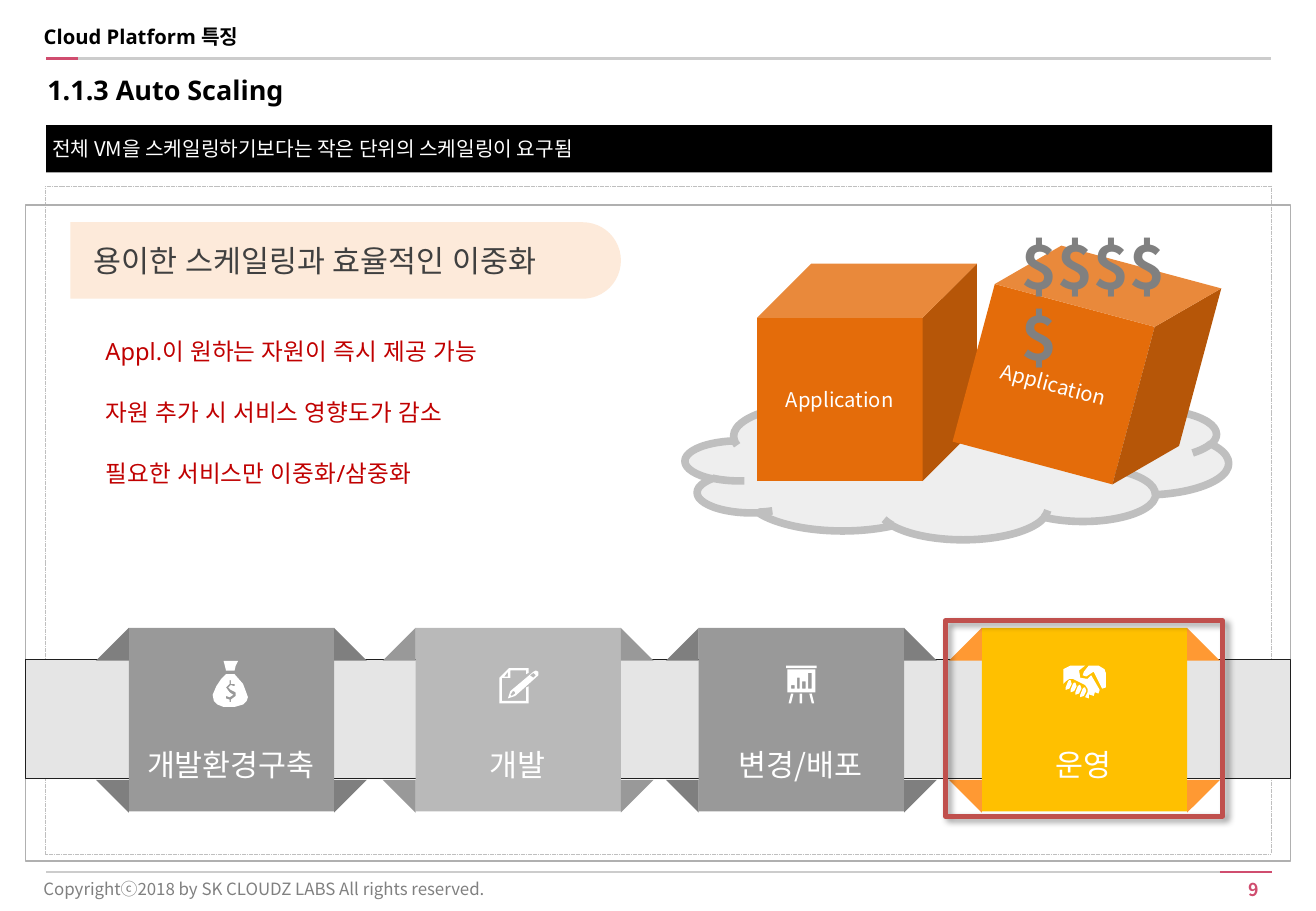
"""Build the Auto Scaling slide: four stage ribbons, key points and a cloud of cubes."""
from lxml.etree import SubElement as Sub
from pptx import Presentation
from pptx.dml.color import RGBColor as RGB
from pptx.enum.dml import MSO_LINE as Dash
from pptx.enum.shapes import MSO_CONNECTOR as Conn, MSO_SHAPE as Kind
from pptx.enum.text import MSO_ANCHOR as Anchor, PP_ALIGN as Align
from pptx.oxml.ns import qn
from pptx.util import Inches, Pt

WHITE, BLACK = RGB(255, 255, 255), RGB(0, 0, 0)
ROSE, RULE = RGB(0xD0, 0x4D, 0x6F), RGB(0xCC, 0xCC, 0xCC)
EDGE, FRAME, STRIP = RGB(0xBF, 0xBF, 0xBF), RGB(0xB0, 0xB0, 0xB0), RGB(0xE5, 0xE5, 0xE5)
INK, DARK, GRAY = RGB(0x1F, 0x1F, 0x1F), RGB(0x40, 0x40, 0x40), RGB(0x80, 0x80, 0x80)
STEEL, FOLD, SILVER = RGB(0x99, 0x99, 0x99), RGB(0x7F, 0x7F, 0x7F), RGB(0xB9, 0xB9, 0xB9)
GOLD, AMBER = RGB(0xFF, 0xC0, 0), RGB(0xFF, 0x99, 0x33)
PEACH, RED, BRICK = RGB(0xFD, 0xEA, 0xDA), RGB(0xC0, 0, 0), RGB(0xC0, 0x50, 0x4D)
CLOUD, ORANGE = RGB(0xEA, 0xEA, 0xEA), RGB(0xE4, 0x6C, 0x0A)
SANS, KOR, JAP = "Noto Sans", "Noto Sans CJK KR", "Noto Sans CJK JP"

deck = Presentation()
deck.slide_width, deck.slide_height = Inches(10.83), Inches(7.5)
shapes = deck.slides.add_slide(deck.slide_layouts[6]).shapes


def paint(shape, fill=None, line=None, width=1):
    shape.shadow.inherit = False
    if fill is None:
        shape.fill.background()
    else:
        shape.fill.solid()
        shape.fill.fore_color.rgb = fill
    if line is None:
        shape.line.fill.background()
    else:
        shape.line.color.rgb = line
        shape.line.width = Pt(width)
    return shape


def write(shape, text, size=12, color=BLACK, face=KOR, bold=False, align=Align.LEFT,
          anchor=Anchor.MIDDLE, pad=(0, 0, 0, 0), gap=0, space=None):
    frame = shape.text_frame
    frame.word_wrap, frame.vertical_anchor = True, anchor
    frame.margin_left, frame.margin_top, frame.margin_right, frame.margin_bottom = map(Inches, pad)
    for num, row in enumerate(text.split("\n")):
        para = frame.paragraphs[0] if num == 0 else frame.add_paragraph()
        para.alignment, para.line_spacing = align, space
        if num:
            para.space_before = Pt(gap)
        run = para.add_run()
        run.text = row
        font = run.font
        font.size, font.bold, font.name = Pt(size), bold, face
        font.color.rgb = color
        Sub(run._r.get_or_add_rPr(), qn("a:ea"), typeface=face)
    return frame


area = paint(shapes.add_shape(Kind.RECTANGLE, Inches(0.37), Inches(1.53), Inches(10.09), Inches(5.5)),
             line=EDGE, width=0.25)
area.line.dash_style = Dash.SQUARE_DOT

for left, right, y, color in [(0.38, 10.46, 0.48, RULE), (0.38, 0.64, 0.48, ROSE),
                              (0.38, 10.46, 7.18, RULE), (10.04, 10.47, 7.18, ROSE)]:
    rule = shapes.add_connector(Conn.STRAIGHT, Inches(left), Inches(y), Inches(right), Inches(y))
    rule.line.color.rgb, rule.line.width = color, Pt(1.5)
    Sub(rule._element.spPr, qn("a:effectLst"))

bar = paint(shapes.add_shape(Kind.RECTANGLE, Inches(0.38), Inches(1.03), Inches(10.09), Inches(0.39)), BLACK)
write(bar, "전체 VM을 스케일링하기보다는 작은 단위의 스케일링이 요구됨", color=WHITE, pad=(0.05, 0, 0, 0))

POINTS = "Appl.이 원하는 자원이 즉시 제공 가능\n자원 추가 시 서비스 영향도가 감소\n필요한 서비스만 이중화/삼중화"
notes = [
    ((9.79, 7.18, 0.57, 0.28), "9",
     dict(size=10.5, face=JAP, color=ROSE, bold=True, align=Align.RIGHT, pad=(0.1, 0.05, 0, 0.05))),
    ((0.27, 0.2, 5.97, 0.31), "Cloud Platform 특징",
     dict(face=SANS, bold=True, anchor=Anchor.TOP, pad=(0.09, 0, 0, 0))),
    ((0.26, 7.15, 5.7, 0.34), "Copyrightⓒ2018 by SK CLOUDZ LABS All rights reserved.",
     dict(size=10, face=JAP, color=GRAY, pad=(0.1, 0.05, 0.1, 0.05))),
    ((0.39, 0.52, 10.07, 0.43), "1.1.3 Auto Scaling",
     dict(size=16, face=SANS, bold=True, pad=(0, 0.05, 0, 0.05))),
    ((0.77, 2.72, 4.84, 1.45), POINTS,
     dict(size=14, face=SANS, color=RED, anchor=Anchor.TOP, pad=(0.1, 0.05, 0.1, 0.05), gap=19.5)),
]
for spot, text, style in notes:
    write(shapes.add_textbox(*map(Inches, spot)), text, **style)

paint(shapes.add_shape(Kind.RECTANGLE, Inches(0.21), Inches(1.69), Inches(10.41), Inches(5.4)), line=FRAME)
paint(shapes.add_shape(Kind.RECTANGLE, Inches(0.21), Inches(5.43), Inches(10.41), Inches(0.98)), STRIP, INK)

BAG = [
    [(9, 0), (10, 4), (11, 8), (18, 8), (19, 4), (21, 0)],
    [(11, 11), (7, 15), (3, 21), (0, 28), (1, 33), (4, 36), (9, 38), (18, 38), (25, 36),
     (28, 33), (29, 30), (28, 27), (25, 19), (18, 11)],
    [(14, 16), (15, 16), (15, 19), (18, 19), (18, 21), (15, 20), (13, 22), (15, 24), (19, 26),
     (19, 29), (15, 32), (15, 34), (14, 34), (14, 32), (11, 31), (11, 29), (14, 30), (17, 28),
     (14, 26), (11, 22), (14, 19)],
]
PEN = [
    [(8, 0), (0, 8), (0, 29), (24, 29), (24, 15), (22, 16), (22, 27), (2, 27), (2, 8), (9, 8),
     (9, 2), (22, 2), (22, 5), (24, 4), (24, 0)],
    [(30, 2), (28, 3), (9, 19), (7, 25), (13, 23), (32, 6), (32, 3)],
    [(7, 3), (7, 7), (4, 7)],
    [(28, 4), (30, 6), (28, 8), (25, 6)],
    [(12, 19), (13, 20), (13, 21), (10, 23), (9, 22), (11, 19)],
]
BOXES = [(0, 0, 25, 2), (1, 3, 24, 22), (18, 6, 21, 19), (9, 10, 11, 19),
         (13, 13, 16, 19), (4, 16, 7, 19), (11, 23, 13, 31)]
CHART = [[(l, t), (r, t), (r, b), (l, b)] for l, t, r, b in BOXES] + [
    [(4, 23), (2, 31), (4, 31), (6, 23)],
    [(19, 23), (21, 31), (23, 31), (21, 23)],
]
THUMB = [(5, 12), (4, 13), (2, 18), (2, 20), (5, 19), (7, 15), (6, 12)]
HANDS = [
    [(6, 0), (0, 3), (0, 15), (2, 13), (5, 11), (8, 11), (18, 16), (20, 19), (20, 22), (18, 26),
     (21, 27), (21, 24), (22, 24), (25, 25), (26, 22), (29, 23), (30, 20), (23, 8), (20, 11),
     (14, 10), (13, 4), (18, 0)],
    [(21, 0), (17, 5), (16, 8), (19, 9), (25, 5), (32, 19), (35, 18), (35, 6), (34, 3), (29, 0)],
] + [[(x + 4 * n, y + 2 * n) for x, y in THUMB] for n in range(4)]

stages = [
    (1.06, "개발환경구축", STEEL, FOLD, BAG, 1.75, 5.44),
    (3.42, "개발", SILVER, STEEL, PEN, 4.11, 5.5),
    (5.75, "변경/배포", STEEL, FOLD, CHART, 6.47, 5.48),
    (8.08, "운영", GOLD, AMBER, HANDS, 8.75, 5.48),
]
for left, label, front, back, icon, x, y in stages:
    paint(shapes.add_shape(Kind.RECTANGLE, Inches(left), Inches(5.17), Inches(1.69), Inches(1.51)), front)
    parts = [(icon, x, y, WHITE)]
    for side, out in [(left, -27), (left + 1.69, 27)]:
        for top, tall in [(5.17, 27), (6.69, -27)]:
            parts.append(([[(0, 0), (0, tall), (out, tall)]], side, top, back))
    for loops, px, py, color in parts:
        pen = shapes.build_freeform(*loops[0][0], scale=9144)
        for num, loop in enumerate(loops):
            if num:
                pen.move_to(*loop[0])
            pen.add_line_segments(loop[1:], close=True)
        paint(pen.convert_to_shape(Inches(px), Inches(py)), color)
    box = shapes.add_textbox(Inches(left + 0.1), Inches(6.15), Inches(1.48), Inches(0.26))
    write(box, label, size=18, color=WHITE, align=Align.CENTER, space=1.1)

tab = paint(shapes.add_shape(Kind.ROUND_2_SAME_RECTANGLE, Inches(2.53), Inches(-0.12),
                             Inches(0.63), Inches(4.53)), PEACH)
tab.rotation, tab.adjustments[0] = 90, 0.5
head = write(tab, "용이한 스케일링과 효율적인 이중화", size=18, color=DARK, face=SANS)
head._txBody.bodyPr.set("vert", "vert270")
head.paragraphs[0]._p.get_or_add_pPr().set("marL", str(Inches(0.19)))

cloud = paint(shapes.add_shape(Kind.CLOUD, Inches(5.64), Inches(3.22), Inches(4.47), Inches(1.22)),
              CLOUD, EDGE, 4.5)
Sub(cloud._element.spPr.find(qn("a:solidFill"))[0], qn("a:alpha"), val="80000")
for left, top, turn in [(6.23, 2.17, 0), (8.04, 2.11, 15)]:
    cube = paint(shapes.add_shape(Kind.CUBE, Inches(left), Inches(top), Inches(1.81), Inches(1.79)), ORANGE)
    cube.rotation = turn
    write(cube, "Application", color=WHITE, align=Align.CENTER)

cost = shapes.add_textbox(Inches(8.31), Inches(1.84), Inches(1.67), Inches(0.71))
write(cost, "$$$$$", size=36, color=GRAY, bold=True, anchor=Anchor.TOP,
      pad=(0.1, 0.05, 0.1, 0.05), space=Pt(42.5))

focus = paint(shapes.add_shape(Kind.RECTANGLE, Inches(7.78), Inches(5.11), Inches(2.28), Inches(1.61)),
              line=BRICK, width=3)
shade = Sub(focus._element.spPr.find(qn("a:effectLst")), qn("a:outerShdw"), blurRad=str(Pt(4)),
            dist=str(Pt(3)), dir="2700000", algn="tl", rotWithShape="0")
Sub(Sub(shade, qn("a:srgbClr"), val="000000"), qn("a:alpha"), val="40000")

deck.save("out.pptx")
